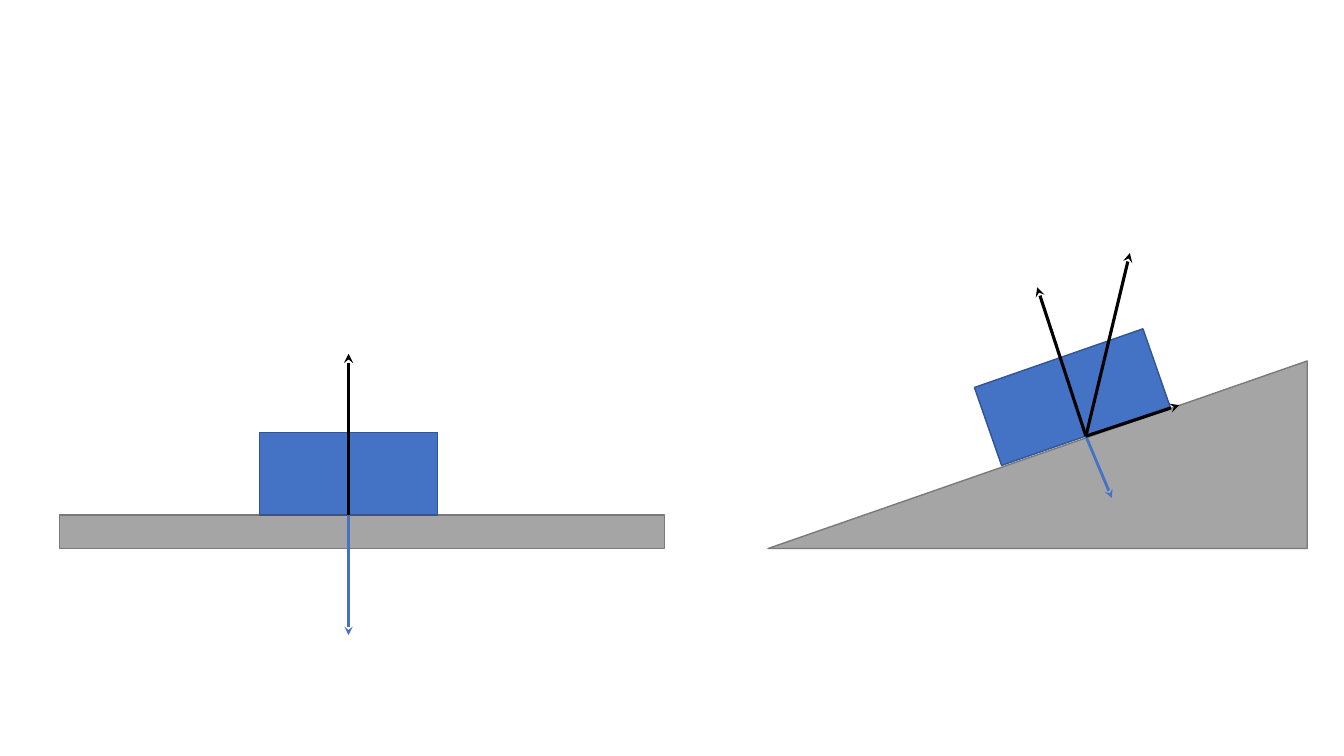
from dataclasses import dataclass
from math import cos, radians, sin

from lxml import etree
from pptx import Presentation
from pptx.dml.color import RGBColor
from pptx.enum import shapes as sh
from pptx.oxml import ns
from pptx.util import Pt

BLUE = RGBColor(0x44, 0x72, 0xC4)
NAVY = RGBColor(0x32, 0x54, 0x91)
GRAY = RGBColor(0xA5, 0xA5, 0xA5)
DARK = RGBColor(0x7A, 0x7A, 0x7A)
BLACK = RGBColor(0, 0, 0)

RECT = sh.MSO_SHAPE.RECTANGLE
WEDGE = sh.MSO_SHAPE.RIGHT_TRIANGLE
BOTTOM = 2


@dataclass(frozen=True)
class Body:
    left: float
    top: float
    width: float
    height: float
    fill: RGBColor
    line: RGBColor
    kind: sh.MSO_SHAPE = RECT
    turn: float = 0
    flip: bool = False

    def foot(self) -> tuple[float, float]:
        """Middle of the bottom side, after the turn."""
        angle, half = radians(self.turn), self.height / 2
        return (self.left + self.width / 2 - half * sin(angle),
                self.top + half + half * cos(angle))


@dataclass(frozen=True)
class Force:
    body: Body
    end_x: float
    end_y: float
    color: RGBColor = BLACK
    width: float = 2.25


RAMP = Body(548.6, 257.8, 385.2, 134, GRAY, DARK, WEDGE, flip=True)
TILTED = Body(702.2, 254.2, 127.5, 59, BLUE, NAVY, turn=-19.2)
FLOOR = Body(42.5, 367.9, 432, 23.8, GRAY, DARK)
LEVEL = Body(185.2, 308.9, 127.5, 59, BLUE, NAVY)
BODIES = (RAMP, TILTED, FLOOR, LEVEL)

FORCES = (
    Force(LEVEL, 248.95, 252.7),
    Force(LEVEL, 248.95, 453.6, BLUE, 2),
    Force(TILTED, 794.2, 355.7, BLUE, 2),
    Force(TILTED, 740.9, 205.2),
    Force(TILTED, 842.4, 289.4),
    Force(TILTED, 807.1, 180.7),
)


def draw_body(slide, body: Body):
    shape = slide.shapes.add_shape(
        body.kind, Pt(body.left), Pt(body.top), Pt(body.width), Pt(body.height))
    shape.shadow.inherit = False
    shape.rotation = body.turn
    shape.fill.solid()
    shape.fill.fore_color.rgb = body.fill
    shape.line.color.rgb = body.line
    shape.line.width = Pt(1)
    if body.flip:
        shape._element.spPr.xfrm.set("flipH", "1")
    return shape


def draw_force(slide, force: Force, block) -> None:
    x, y = (Pt(value) for value in force.body.foot())
    arrow = slide.shapes.add_connector(
        sh.MSO_CONNECTOR.STRAIGHT, x, y, Pt(force.end_x), Pt(force.end_y))
    arrow.begin_connect(block, BOTTOM)
    # Joining ignores the block's turn, so the start is set again.
    arrow.begin_x, arrow.begin_y = x, y
    arrow.line.color.rgb = force.color
    arrow.line.width = Pt(force.width)
    etree.SubElement(arrow.line._get_or_add_ln(), ns.qn("a:tailEnd"), type="stealth")
    etree.SubElement(arrow._element.spPr, ns.qn("a:effectLst"))


def main() -> None:
    deck = Presentation()
    deck.slide_width, deck.slide_height = Pt(960), Pt(540)
    slide = deck.slides.add_slide(deck.slide_layouts[6])
    drawn = {body: draw_body(slide, body) for body in BODIES}
    for force in FORCES:
        draw_force(slide, force, drawn[force.body])
    deck.save("out.pptx")


if __name__ == "__main__":
    main()
